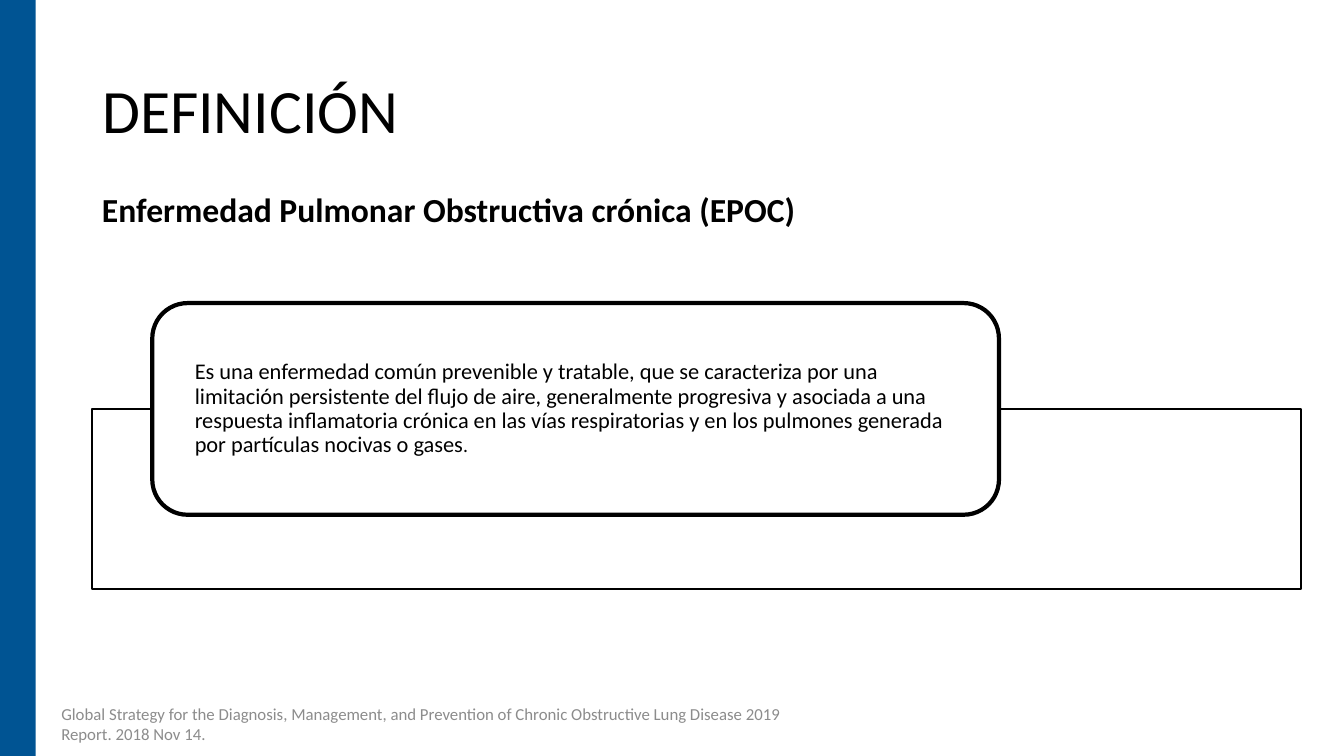
import pptx
import pptx.util
import pptx.dml.color
import pptx.enum.shapes
import pptx.enum.text
from dataclasses import dataclass

Pt = pptx.util.Pt
RGB = pptx.dml.color.RGBColor.from_string
SHAPE = pptx.enum.shapes.MSO_SHAPE
ANCHOR = pptx.enum.text.MSO_ANCHOR
ALIGN = pptx.enum.text.PP_ALIGN


@dataclass
class Theme:
    font: str = "Calibri"
    ink: str = "000000"
    paper: str = "FFFFFF"
    bar: str = "005493"
    muted: str = "8C8C8C"
    title: int = 44
    subtitle: int = 24
    body: int = 16
    stop: int = 14
    source: int = 12


theme = Theme()


def write(sp, *runs, color=theme.ink, bold=False, anchor=ANCHOR.MIDDLE,
          spacing=None, margins=(7.2, 3.6)):
    """Fill a shape with one paragraph made of (text, size) runs."""
    tf = sp.text_frame
    tf.word_wrap = True
    tf.vertical_anchor = anchor
    tf.margin_left = tf.margin_right = Pt(margins[0])
    tf.margin_top = tf.margin_bottom = Pt(margins[1])
    p = tf.paragraphs[0]
    p.alignment = ALIGN.LEFT
    if spacing:
        p.line_spacing = spacing
    for text, size in runs:
        r = p.add_run()
        r.text = text
        r.font.name = theme.font
        r.font.size = Pt(size)
        r.font.bold = bold
        r.font.color.rgb = RGB(color)


def add_box(kind, left, top, width, height, fill=None, line=None):
    """Add a flat shape; line is its width in points."""
    sp = s.shapes.add_shape(kind, Pt(left), Pt(top), Pt(width), Pt(height))
    sp.shadow.inherit = False
    if fill:
        sp.fill.solid()
        sp.fill.fore_color.rgb = RGB(fill)
    else:
        sp.fill.background()
    if line:
        sp.line.color.rgb = RGB(theme.ink)
        sp.line.width = Pt(line)
    else:
        sp.line.fill.background()
    return sp


prs = pptx.Presentation()
prs.slide_width, prs.slide_height = Pt(960), Pt(540)
s = prs.slides.add_slide(prs.slide_layouts[6])

# Side bar
add_box(SHAPE.RECTANGLE, 0, 0, 25.5, 540, fill=theme.bar)

# Title and subtitle
title = s.shapes.add_textbox(Pt(66), Pt(28.75), Pt(828), Pt(104.4))
write(title, ("DEFINICIÓN", theme.title), spacing=0.9)
subtitle = s.shapes.add_textbox(Pt(65.8), Pt(123.8), Pt(828), Pt(44))
write(subtitle, ("Enfermedad Pulmonar Obstructiva crónica (EPOC)", theme.subtitle),
      bold=True, anchor=ANCHOR.BOTTOM, spacing=0.9)

# Definition card over its frame
add_box(SHAPE.RECTANGLE, 65.6, 292.2, 864, 128.8, line=1.5)
card = add_box(SHAPE.ROUNDED_RECTANGLE, 108.8, 216.5, 604.8, 151.2,
               fill=theme.paper, line=3)
write(card,
      ("Es una enfermedad común prevenible y tratable, que se caracteriza por una "
       "limitación persistente del flujo de aire, generalmente progresiva y asociada "
       "a una respuesta inflamatoria crónica en las vías respiratorias y en los "
       "pulmones generada por partículas nocivas o gases", theme.body),
      (".", theme.stop), spacing=0.9, margins=(23, 0))

# Source
source = s.shapes.add_textbox(Pt(36.7), Pt(502.6), Pt(533.5), Pt(28.8))
write(source,
      ("Global Strategy for the Diagnosis, Management, and Prevention of Chronic "
       "Obstructive Lung Disease 2019 Report. 2018 Nov 14.", theme.source),
      color=theme.muted)

prs.save("out.pptx")
